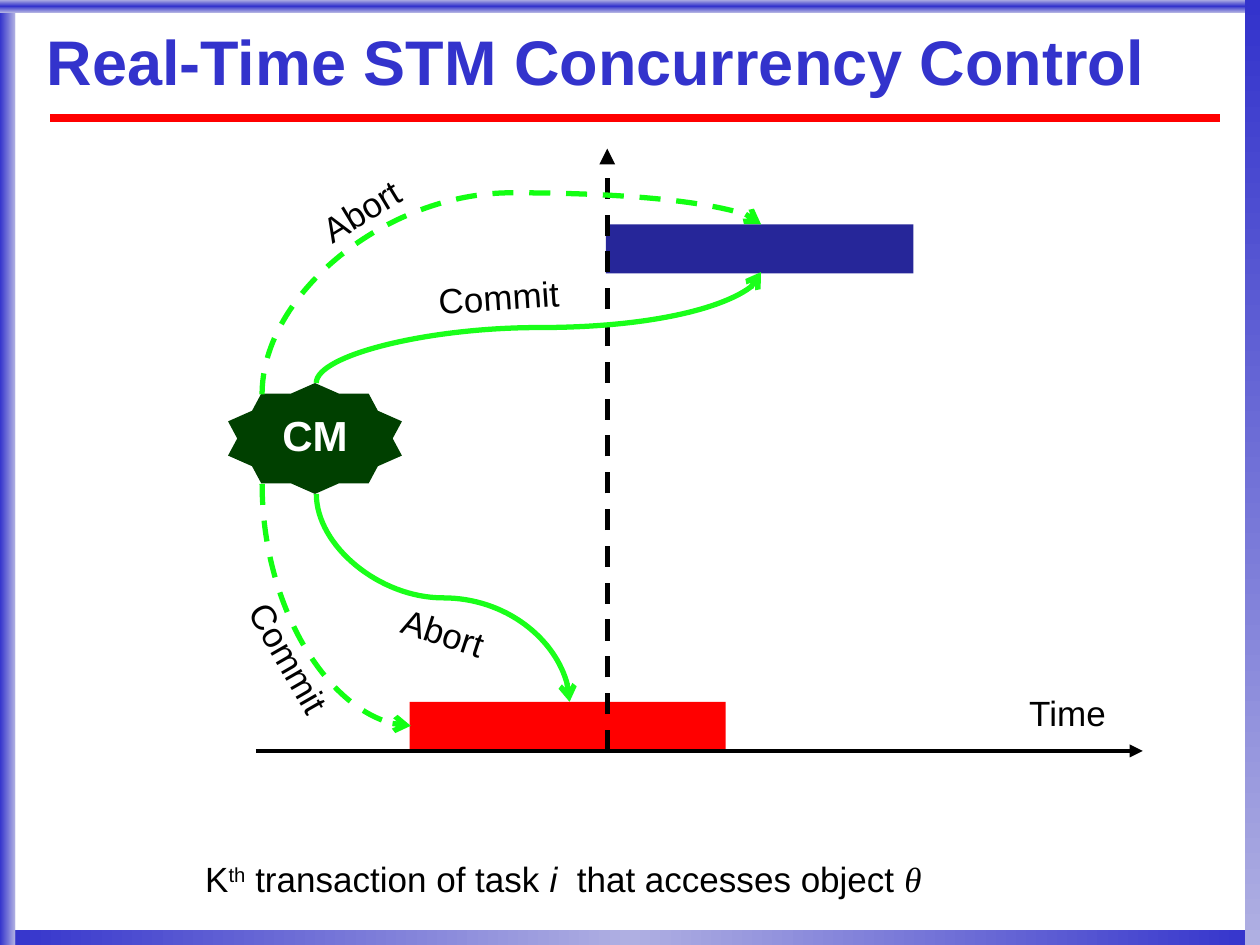
from lxml.etree import SubElement
from pptx import Presentation
from pptx.dml.color import RGBColor
from pptx.enum.dml import MSO_LINE
from pptx.enum.shapes import MSO_CONNECTOR, MSO_SHAPE
from pptx.enum.text import MSO_ANCHOR, PP_ALIGN
from pptx.oxml import parse_xml
from pptx.oxml.ns import nsdecls, qn
from pptx.util import Inches, Pt

WIDTH, HEIGHT = 10, 7.5
BLACK = RGBColor(0, 0, 0)
WHITE = RGBColor(255, 255, 255)
RED = RGBColor(255, 0, 0)
BLUE = RGBColor(0x33, 0x33, 0xCC)
PALE_BLUE = RGBColor(0xAF, 0xAF, 0xE2)
NAVY = RGBColor(0x26, 0x26, 0x99)
DARK_GREEN = RGBColor(0, 0x40, 0)
SOLID_GREEN = RGBColor(0x1A, 0xFF, 0x1A)
DASHED_GREEN = RGBColor(0x12, 0xFF, 0x12)

# Border bars: box, evenly spaced gradient colours, gradient angle
BORDER_BARS = [
    ((0, 7.38, WIDTH, 0.13), (BLUE, PALE_BLUE, BLUE), 0),
    ((0, 0, 0.12, HEIGHT), (BLUE, PALE_BLUE), 0),
    ((0, 0, WIDTH, 0.1), (PALE_BLUE, BLUE, PALE_BLUE), 90),
    ((9.88, 0, 0.12, HEIGHT), (BLUE, PALE_BLUE), 90),
]
TITLE = "Real-Time STM Concurrency Control"
CAPTION = [
    ("K", {}),
    ("th", {"superscript": True}),
    (" transaction of task ", {}),
    ("i ", {"italic": True}),
    (" that accesses object ", {}),
    ("θ", {"italic": True, "name": "Times New Roman"}),
]
AXIS_Y = 5.96
TRANSACTIONS = [((3.25, 5.57, 2.51, 0.39), RED), ((4.81, 1.78, 2.44, 0.39), NAVY)]
MANAGER_BOX = (1.81, 3.04, 1.38, 0.88)
# Decision curves: start, end, bend share (None for a single quarter turn), dashed
CURVES = [
    ((2.51, 3.04), (6.04, 2.16), 0.5, False),
    ((2.51, 3.92), (4.52, 5.57), 0.5, False),
    ((2.08, 3.13), (6.04, 1.78), 1.185, True),
    ((2.08, 3.84), (3.26, 5.76), None, True),
]
# Curve labels: text, left, top, rotation
LABELS = [
    ("Commit", 3.26, 2.19, 356.1),
    ("Abort", 2.81, 4.85, 18.2),
    ("Commit", 1.57, 5.04, 60.2),
    ("Abort", 2.18, 1.5, 328.8),
]
LABEL_WIDTH, LABEL_HEIGHT = 1.4, 0.39


def inches(values):
    return [Inches(value) for value in values]


def add_block(slide, box, color=None, preset=MSO_SHAPE.RECTANGLE):
    shape = slide.shapes.add_shape(preset, *inches(box))
    shape.shadow.inherit = False
    shape.line.fill.background()
    if color is not None:
        shape.fill.solid()
        shape.fill.fore_color.rgb = color
    return shape


def add_border_bar(slide, box, colors, angle):
    properties = add_block(slide, box)._element.spPr
    stops = "".join(
        f'<a:gs pos="{index * 100000 // (len(colors) - 1)}"><a:srgbClr val="{color}"/></a:gs>'
        for index, color in enumerate(colors))
    gradient = parse_xml(
        f'<a:gradFill {nsdecls("a")} rotWithShape="1"><a:gsLst>{stops}</a:gsLst>'
        f'<a:lin ang="{angle * 60000}" scaled="0"/></a:gradFill>')
    properties.find(qn("a:prstGeom")).addnext(gradient)


def write(shape, runs, size=20, color=BLACK, bold=False, align=PP_ALIGN.LEFT,
          spacing=0.85, shadow=False):
    paragraph = shape.text_frame.paragraphs[0]
    paragraph.alignment = align
    paragraph.line_spacing = spacing
    for text, style in runs:
        run = paragraph.add_run()
        run.text = text
        font = run.font
        font.size = Pt(size)
        font.bold = bold
        font.italic = style.get("italic", False)
        font.color.rgb = color
        if shadow:
            font._element.append(parse_xml(
                f'<a:effectLst {nsdecls("a")}><a:outerShdw dist="35921" dir="2700000">'
                '<a:srgbClr val="B2B2B2"/></a:outerShdw></a:effectLst>'))
        font.name = style.get("name", "Arial")
        if style.get("superscript"):
            font._element.set("baseline", "30000")


def add_text(slide, box, runs, **style):
    text_box = slide.shapes.add_textbox(*inches(box))
    text_box.text_frame.word_wrap = True
    write(text_box, runs, **style)
    return text_box


def add_line(slide, start, end, color, width, dashed=False, head=None,
             kind=MSO_CONNECTOR.STRAIGHT):
    connector = slide.shapes.add_connector(kind, *inches(start + end))
    connector.line.color.rgb = color
    connector.line.width = Pt(width)
    if dashed:
        connector.line.dash_style = MSO_LINE.DASH
    if head:
        SubElement(connector.line._get_or_add_ln(), qn("a:tailEnd"), type=head)
    SubElement(connector._element.spPr, qn("a:effectLst"))
    return connector


def add_curve(slide, start, end, bend, dashed):
    """Add a curve that leaves vertically: a connector turned by a quarter, sides swapped."""
    color = DASHED_GREEN if dashed else SOLID_GREEN
    curve = add_line(slide, start, end, color, 3, dashed, "arrow", MSO_CONNECTOR.CURVE)
    across, down = abs(end[0] - start[0]), abs(end[1] - start[1])
    curve.left, curve.top = inches(((start[0] + end[0] - down) / 2,
                                    (start[1] + end[1] - across) / 2))
    curve.width, curve.height = inches((down, across))
    upward = end[1] < start[1]
    frame = curve._element.spPr.find(qn("a:xfrm"))
    frame.set("rot", str((90 if upward else 270) * 60000))
    frame.set("flipH", "1")
    frame.set("flipV", "1" if upward else "0")
    geometry = curve._element.spPr.find(qn("a:prstGeom"))
    if bend is None:
        geometry.set("prst", "curvedConnector2")
    else:
        adjustments = geometry.get_or_add_avLst()
        SubElement(adjustments, qn("a:gd"), name="adj1", fmla=f"val {round(bend * 100000)}")


def main():
    presentation = Presentation()
    presentation.slide_width, presentation.slide_height = inches((WIDTH, HEIGHT))
    slide = presentation.slides.add_slide(presentation.slide_layouts[6])

    for bar in BORDER_BARS:
        add_border_bar(slide, *bar)
    add_line(slide, (0.4, 0.94), (9.68, 0.94), RED, 4.5)
    title = add_text(slide, (0.37, 0.15, 9.3, 0.74), [(TITLE, {})], size=36, color=BLUE,
                     bold=True, spacing=0.87, shadow=True)
    frame = title.text_frame
    frame.vertical_anchor = MSO_ANCHOR.MIDDLE
    frame.margin_left = frame.margin_right = frame.margin_top = frame.margin_bottom = 0

    for box, color in TRANSACTIONS:
        add_block(slide, box, color)
    manager = add_block(slide, MANAGER_BOX, DARK_GREEN, MSO_SHAPE.STAR_10_POINT)
    write(manager, [("CM", {})], size=24, color=WHITE, bold=True, align=PP_ALIGN.CENTER)

    add_line(slide, (4.82, AXIS_Y), (4.82, 1.18), BLACK, 3, True, "triangle")
    add_line(slide, (2.03, AXIS_Y), (9.07, AXIS_Y), BLACK, 2.5, False, "triangle")
    add_text(slide, (8.07, 5.49, 1.1, LABEL_HEIGHT), [("Time", {})])

    for curve in CURVES:
        add_curve(slide, *curve)
    for text, left, top, rotation in LABELS:
        label = add_text(slide, (left, top, LABEL_WIDTH, LABEL_HEIGHT), [(text, {})],
                         align=PP_ALIGN.CENTER)
        label.rotation = rotation
    add_text(slide, (1.53, 6.81, 6.22, LABEL_HEIGHT), CAPTION)

    presentation.save("out.pptx")


if __name__ == "__main__":
    main()
